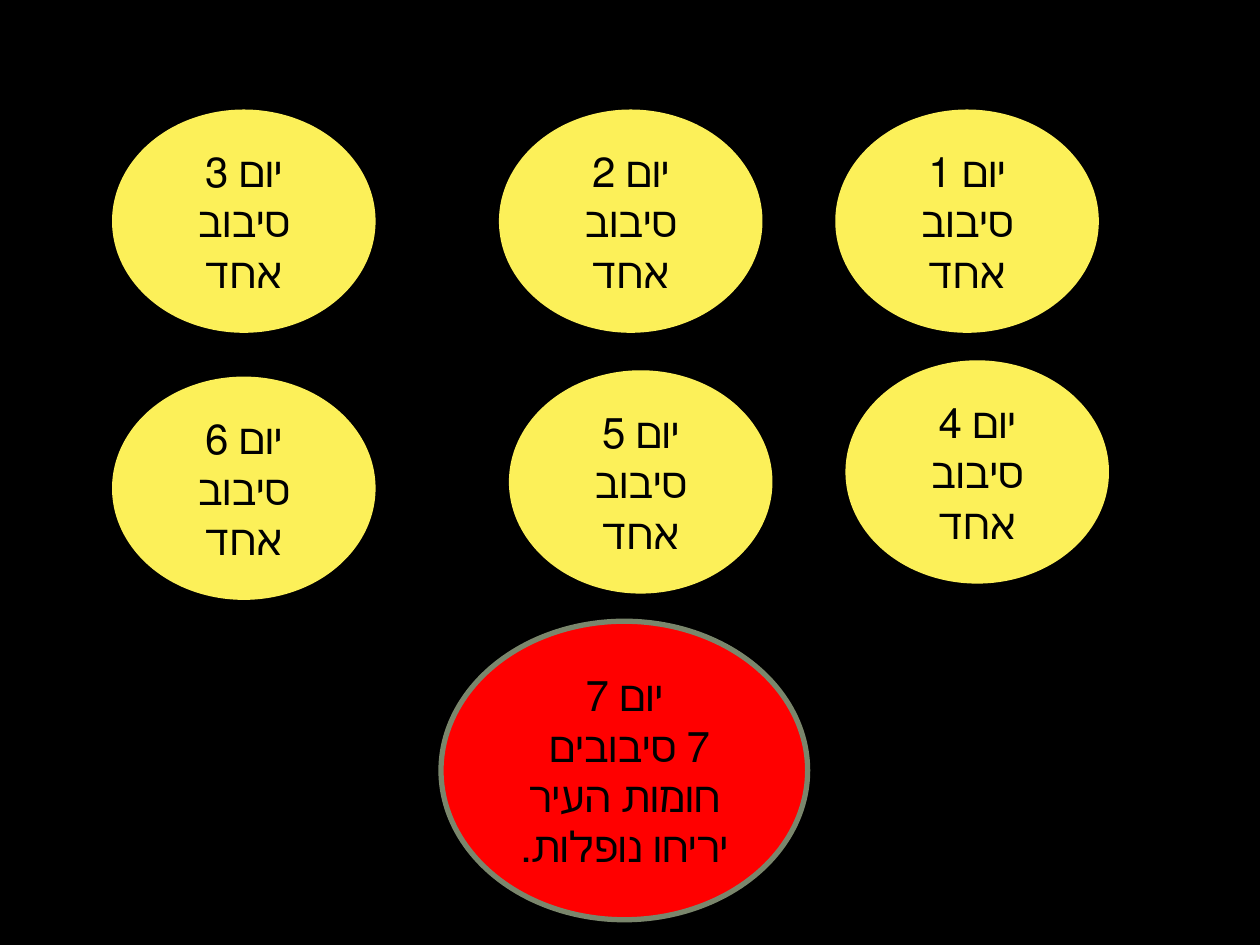
from dataclasses import dataclass

from pptx import Presentation
from pptx.dml.color import RGBColor
from pptx.enum.shapes import MSO_SHAPE
from pptx.enum.text import MSO_ANCHOR, PP_ALIGN
from pptx.util import Pt

OVAL = MSO_SHAPE.OVAL
MIDDLE = MSO_ANCHOR.MIDDLE
CENTER = PP_ALIGN.CENTER


@dataclass(frozen=True)
class Theme:
    background: RGBColor = RGBColor(0x00, 0x00, 0x00)
    text: RGBColor = RGBColor(0x00, 0x00, 0x00)
    day: RGBColor = RGBColor(0xFC, 0xF0, 0x59)
    final_day: RGBColor = RGBColor(0xFF, 0x00, 0x00)
    final_border: RGBColor = RGBColor(0x7A, 0x86, 0x6C)
    font: str = "Cambria"
    text_size: float = 24
    border_width: float = 3


THEME = Theme()
DAY_SIZE = (147.6, 124.6)
DAY_POSITIONS = [
    (478.8, 64.1), (286.6, 64.1), (65.5, 64.1),
    (484.6, 207.4), (292.3, 213.1), (65.5, 216.7),
]
FINAL_BOX = (252, 355, 209.5, 170.6)
FINAL_LINES = ["יום 7", "7 סיבובים ", "חומות העיר יריחו נופלות."]


def add_circle(slide, box, lines, fill, border):
    shape = slide.shapes.add_shape(OVAL, *(Pt(length) for length in box))
    shape.shadow.inherit = False
    shape.fill.solid()
    shape.fill.fore_color.rgb = fill
    shape.line.color.rgb = border
    shape.line.width = Pt(THEME.border_width)
    frame = shape.text_frame
    frame.word_wrap = True
    frame.vertical_anchor = MIDDLE
    for index, line in enumerate(lines):
        paragraph = frame.add_paragraph() if index else frame.paragraphs[0]
        paragraph.alignment = CENTER
        paragraph._p.get_or_add_pPr().set("rtl", "1")
        run = paragraph.add_run()
        run.text = line
        run.font.name = THEME.font
        run.font.size = Pt(THEME.text_size)
        run.font.color.rgb = THEME.text


def add_days(slide, positions, size):
    for day, position in enumerate(positions, start=1):
        lines = [f"יום {day}", "סיבוב אחד"]
        add_circle(slide, position + size, lines, THEME.day, THEME.day)


def add_final_day(slide, box):
    add_circle(slide, box, FINAL_LINES, THEME.final_day, THEME.final_border)


def main():
    presentation = Presentation()
    presentation.slide_width = Pt(720)
    presentation.slide_height = Pt(540)
    slide = presentation.slides.add_slide(presentation.slide_layouts[6])
    slide.background.fill.solid()
    slide.background.fill.fore_color.rgb = THEME.background
    add_days(slide, DAY_POSITIONS, DAY_SIZE)
    add_final_day(slide, FINAL_BOX)
    presentation.save("out.pptx")


if __name__ == "__main__":
    main()
